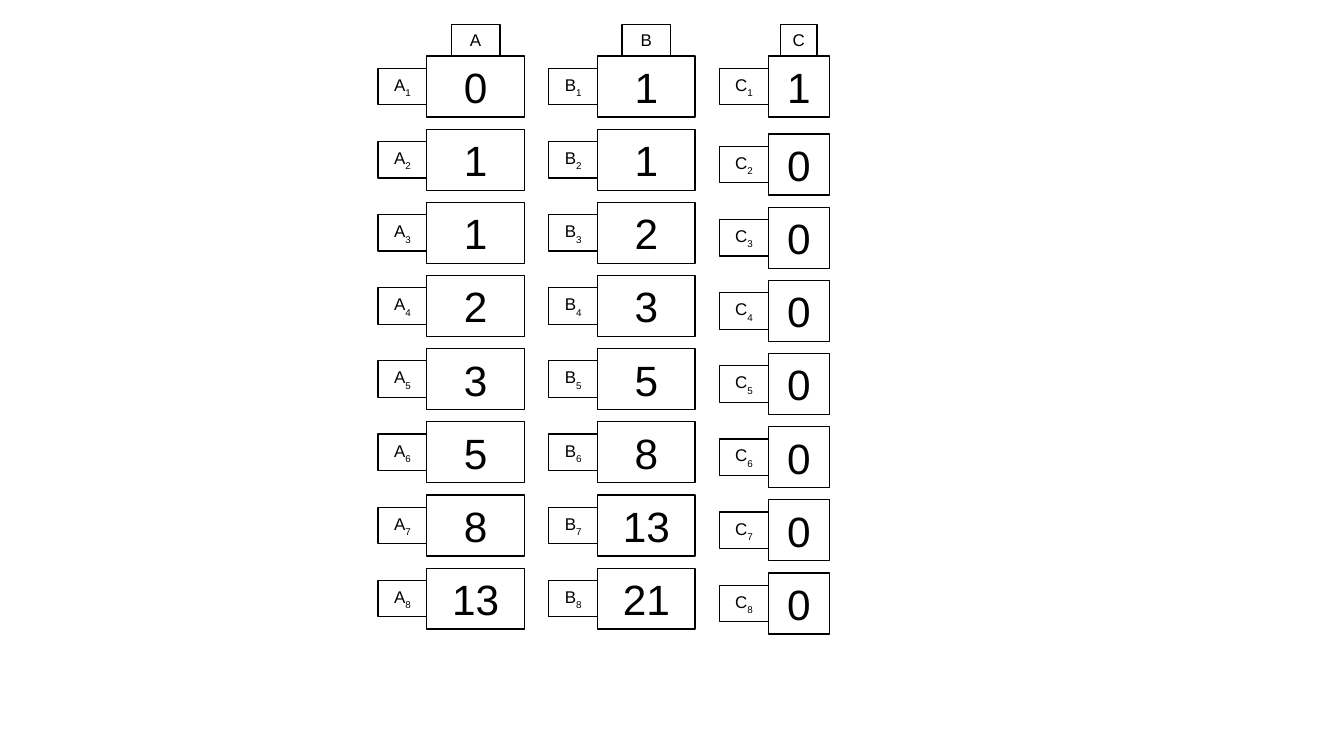
from dataclasses import dataclass

from pptx import Presentation
from pptx import util as u
from pptx.dml.color import RGBColor
from pptx.enum import shapes, text

BLACK = RGBColor(0, 0, 0)
FONT = "Arial"
ROW_PITCH = 0.6
HEADER_TOP = 0.2
HEADER_HEIGHT = 0.26
FIRST_TOP = HEADER_TOP + HEADER_HEIGHT
CELL_HEIGHT = 0.5
LABEL_WIDTH = 0.4
LABEL_HEIGHT = 0.3


@dataclass(frozen=True)
class Register:
    name: str
    left: float
    cell_width: float
    header_width: float
    values: tuple[int, ...]
    lower_shift: float = 0.0


REGISTERS = (
    Register("A", 3.1, 0.8, 0.4, (0, 1, 1, 2, 3, 5, 8, 13)),
    Register("B", 4.5, 0.8, 0.4, (1, 1, 2, 3, 5, 8, 13, 21)),
    Register("C", 5.9, 0.5, 0.3, (1, 0, 0, 0, 0, 0, 0, 0), 0.04),
)


def add_box(s, left: float, top: float, width: float, height: float,
            caption: str, size: float, subscript: str = "") -> None:
    sp = s.shapes.add_shape(
        shapes.MSO_SHAPE.RECTANGLE,
        *(u.Inches(length) for length in (left, top, width, height)))
    sp.shadow.inherit = False
    sp.fill.background()
    sp.line.color.rgb = BLACK
    sp.line.width = u.Pt(0.71)
    tf = sp.text_frame
    tf.word_wrap = True
    tf.auto_size = text.MSO_AUTO_SIZE.SHAPE_TO_FIT_TEXT
    tf.vertical_anchor = text.MSO_ANCHOR.MIDDLE
    tf.margin_left = tf.margin_right = u.Inches(0.1)
    tf.margin_top = tf.margin_bottom = u.Inches(0.05)
    p = tf.paragraphs[0]
    p.alignment = text.PP_ALIGN.CENTER
    p.font.name = FONT
    p.font.size = u.Pt(size)
    p.font.color.rgb = BLACK
    p.add_run().text = caption
    if subscript:
        r = p.add_run()
        r.text = subscript
        r.font._element.set("baseline", "-33000")


def draw_register(s, register: Register) -> None:
    cell_left = register.left + LABEL_WIDTH
    header_left = cell_left + (register.cell_width - register.header_width) / 2
    add_box(s, header_left, HEADER_TOP, register.header_width, HEADER_HEIGHT,
            register.name, 10)
    for row, value in enumerate(register.values):
        top = FIRST_TOP + row * ROW_PITCH
        if row:
            top += register.lower_shift
        add_box(s, cell_left, top, register.cell_width, CELL_HEIGHT,
                str(value), 25)
        add_box(s, register.left, top + (CELL_HEIGHT - LABEL_HEIGHT) / 2,
                LABEL_WIDTH, LABEL_HEIGHT, register.name, 10, str(row + 1))


def main() -> None:
    prs = Presentation()
    prs.slide_width = u.Inches(11.02)
    prs.slide_height = u.Inches(6.2)
    s = prs.slides.add_slide(prs.slide_layouts[6])
    for register in REGISTERS:
        draw_register(s, register)
    prs.save("out.pptx")


if __name__ == "__main__":
    main()
